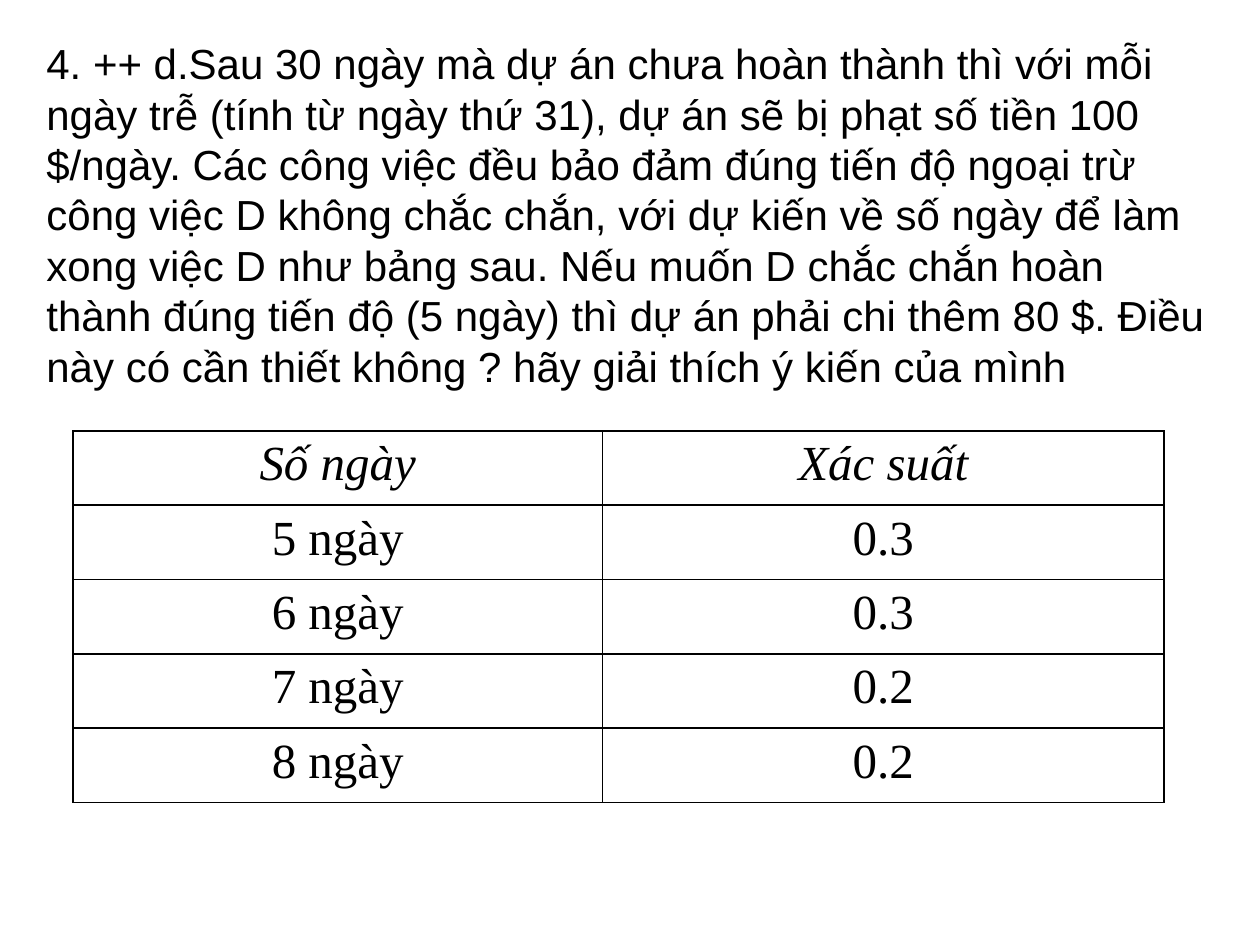
"""Build the slide on project delay risk with its table of probabilities."""
import pptx
import pptx.dml.color
import pptx.enum.text
import pptx.oxml
import pptx.oxml.ns
import pptx.util
from pptx.util import Inches

BLACK = pptx.dml.color.RGBColor(0, 0, 0)
QUESTION = (
    "4. ++ d.Sau 30 ngày mà dự án chưa hoàn thành thì với mỗi ngày trễ "
    "(tính từ ngày thứ 31), dự án sẽ bị phạt số tiền 100 $/ngày. "
    "Các công việc đều bảo đảm đúng tiến độ ngoại trừ công việc D không chắc chắn, "
    "với dự kiến về số ngày để làm xong việc D như bảng sau. "
    "Nếu muốn D chắc chắn hoàn thành đúng tiến độ (5 ngày) thì dự án phải chi thêm 80 $. "
    "Điều này có cần thiết không ? hãy giải thích ý kiến của mình"
)
PROBABILITIES = [
    ("Số ngày", "Xác suất"),
    ("5 ngày", "0.3"),
    ("6 ngày", "0.3"),
    ("7 ngày", "0.2"),
    ("8 ngày", "0.2"),
]
COLUMN_WIDTHS = (4.2, 4.46)
ROW_HEIGHT = 0.59


def format_font(paragraph, name, size, italic=False):
    paragraph.font.name = name
    paragraph.font.size = pptx.util.Pt(size)
    paragraph.font.italic = italic
    paragraph.font.color.rgb = BLACK


def add_borders(cell):
    properties = cell._tc.get_or_add_tcPr()
    for position, side in enumerate(("lnL", "lnR", "lnT", "lnB")):
        border = pptx.oxml.parse_xml(
            f'<a:{side} {pptx.oxml.ns.nsdecls("a")} w="12700"><a:solidFill>'
            f'<a:srgbClr val="{BLACK}"/></a:solidFill></a:{side}>'
        )
        properties.insert(position, border)


deck = pptx.Presentation()
deck.slide_width = Inches(10)
deck.slide_height = Inches(7.5)
page = deck.slides.add_slide(deck.slide_layouts[6])

question_box = page.shapes.add_textbox(Inches(0.27), Inches(0.25), Inches(9.39), Inches(2.93))
question_box.text_frame.word_wrap = True
question = question_box.text_frame.paragraphs[0]
question.text = QUESTION
question.space_before = pptx.util.Pt(14.4)
question.line_spacing = pptx.util.Pt(28.8)
format_font(question, "Arial", 24)

table = page.shapes.add_table(
    len(PROBABILITIES), len(COLUMN_WIDTHS), Inches(0.58), Inches(3.42),
    Inches(sum(COLUMN_WIDTHS)), Inches(ROW_HEIGHT * len(PROBABILITIES)),
).table
table.horz_banding = False
for column, width in zip(table.columns, COLUMN_WIDTHS):
    column.width = Inches(width)

for row_index, values in enumerate(PROBABILITIES):
    table.rows[row_index].height = Inches(ROW_HEIGHT)
    for column_index, value in enumerate(values):
        cell = table.cell(row_index, column_index)
        cell.fill.background()
        add_borders(cell)
        cell.text = value
        para = cell.text_frame.paragraphs[0]
        para.alignment = pptx.enum.text.PP_ALIGN.CENTER
        indents = para._p.get_or_add_pPr()
        indents.set("marL", str(Inches(0.38)))
        indents.set("indent", str(Inches(-0.38)))
        format_font(para, "Times New Roman", 28, italic=row_index == 0)
        para.font.bold = False

deck.save("out.pptx")
